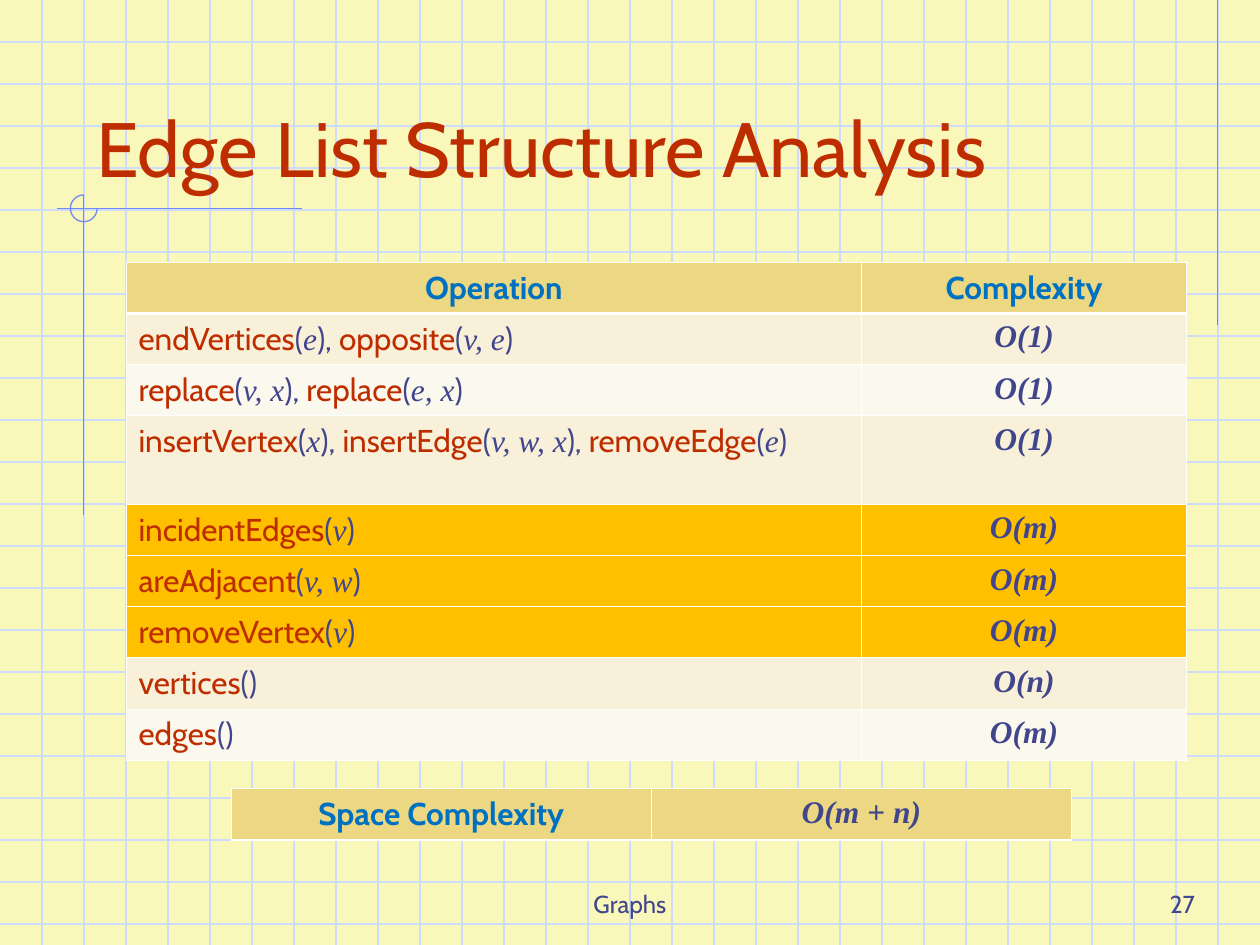
from lxml.etree import SubElement
from pptx import Presentation
from pptx.dml.color import RGBColor
from pptx.enum.shapes import MSO_CONNECTOR as CONN, MSO_SHAPE as SHAPE
from pptx.enum.text import MSO_ANCHOR as ANCHOR, MSO_AUTO_SIZE as AUTO, PP_ALIGN as ALIGN
from pptx.oxml.ns import qn
from pptx.util import Cm, Pt

SANS, SERIF = "Cabin", "Times New Roman"
PAPER, GRID, ACCENT, WHITE = "F9F8BA", "CFDBFD", "6F89F7", "FFFFFF"
RED, INK, BLUE = "BE2D00", "40458C", "0070C0"
HEAD, DARK, LIGHT, GOLD = "ECD882", "F8F0D8", "FBF8ED", "FFC000"
WIDTH, HEIGHT, ROW = 25.4, 19.05, 1.03

OPERATIONS = [
    ("endVertices(e), opposite(v, e)", "O(1)", DARK, ROW),
    ("replace(v, x), replace(e, x)", "O(1)", LIGHT, ROW),
    ("insertVertex(x), insertEdge(v, w, x), removeEdge(e)", "O(1)", DARK, 1.79),
    ("incidentEdges(v)", "O(m)", GOLD, ROW),
    ("areAdjacent(v, w)", "O(m)", GOLD, ROW),
    ("removeVertex(v)", "O(m)", GOLD, ROW),
    ("vertices()", "O(n)", DARK, ROW),
    ("edges()", "O(m)", LIGHT, ROW),
]


def rgb(color):
    """Turn a hex string into a colour."""
    return RGBColor.from_string(color)


def add_run(p, text, color, font=SANS, size=18, bold=False, italic=False):
    """Append one formatted run to a paragraph."""
    r = p.add_run()
    r.text = text
    f = r.font
    f.name, f.size, f.bold, f.italic = font, Pt(size), bold, italic
    f.color.rgb = rgb(color)


def add_line(slide, x1, y1, x2, y2, color):
    """Draw a thin straight line without shadow."""
    ln = slide.shapes.add_connector(CONN.STRAIGHT, Cm(x1), Cm(y1), Cm(x2), Cm(y2))
    ln.line.color.rgb = rgb(color)
    ln.line.width = Pt(0.75)
    SubElement(ln._element.spPr, qn("a:effectLst"))


def add_grid(slide, width, height):
    """Rule the page like squared paper."""
    step = width / 30
    for i in range(1, int(height / step) + 1):
        add_line(slide, 0, step * i, width, step * i, GRID)
    for i in range(1, 30):
        add_line(slide, step * i, 0, step * i, height, GRID)


def add_ornament(slide, x, y):
    """Draw the corner lines and the open circle centred on (x, y)."""
    radius = 0.27
    add_line(slide, WIDTH - 0.85, 0, WIDTH - 0.85, 6.55, ACCENT)
    add_line(slide, x - 0.55, y, x + 4.4, y, ACCENT)
    add_line(slide, x, y - radius, x, y + 6.18, ACCENT)
    sp = slide.shapes.add_shape(
        SHAPE.ARC, Cm(x - radius), Cm(y - radius), Cm(2 * radius), Cm(2 * radius))
    sp.adjustments[0], sp.adjustments[1] = 0, 162
    sp.shadow.inherit = False
    sp.fill.background()
    sp.line.color.rgb = rgb(ACCENT)
    sp.line.width = Pt(0.75)


def add_title(slide, text, x, y, w, h):
    """Place the title placeholder above the background lines."""
    sp = slide.shapes.title
    sp.left, sp.top, sp.width, sp.height = Cm(x), Cm(y), Cm(w), Cm(h)
    tf = sp.text_frame
    tf.auto_size, tf.vertical_anchor, tf.word_wrap = AUTO.NONE, ANCHOR.BOTTOM, True
    p = tf.paragraphs[0]
    p.alignment = ALIGN.LEFT
    add_run(p, text, RED, size=44)
    slide.shapes._spTree.append(sp._element)


def add_footer(slide, text, align, x, y, w, h):
    """Write one footer text at the bottom of its box."""
    tf = slide.shapes.add_textbox(Cm(x), Cm(y), Cm(w), Cm(h)).text_frame
    tf.word_wrap, tf.vertical_anchor = True, ANCHOR.BOTTOM
    p = tf.paragraphs[0]
    p.alignment = align
    add_run(p, text, INK, size=14)


def style_cell(cell, fill, top=0.45, bottom=0.45):
    """Give a cell white borders and a plain fill."""
    tcPr = cell._tc.get_or_add_tcPr()
    for tag, width in (("lnL", 0.45), ("lnR", 0.45), ("lnT", top), ("lnB", bottom)):
        ln = SubElement(tcPr, qn(f"a:{tag}"), w=str(Pt(width)))
        SubElement(SubElement(ln, qn("a:solidFill")), qn("a:srgbClr"), val=WHITE)
    cell.fill.solid()
    cell.fill.fore_color.rgb = rgb(fill)


def write_heading(cell, text):
    """Write a centred bold heading."""
    p = cell.text_frame.paragraphs[0]
    p.alignment = ALIGN.CENTER
    add_run(p, text, BLUE, bold=True)


def write_bound(cell, text):
    """Write a centred complexity bound."""
    p = cell.text_frame.paragraphs[0]
    p.alignment = ALIGN.CENTER
    add_run(p, text, INK, SERIF, bold=True, italic=True)


def write_calls(cell, text):
    """Write method calls with red names and italic arguments."""
    p = cell.text_frame.paragraphs[0]
    calls = text.rstrip(")").split("), ")
    for i, call in enumerate(calls):
        name, args = call.split("(")
        close = "), " if i < len(calls) - 1 else ")"
        add_run(p, name, RED)
        if args:
            add_run(p, "(", INK)
            add_run(p, args, INK, SERIF, italic=True)
            add_run(p, close, INK)
        else:
            add_run(p, "(" + close, INK)


def add_plain_table(slide, x, y, col_widths, row_heights):
    """Add a table with the given sizes and no banding."""
    tbl = slide.shapes.add_table(
        len(row_heights), len(col_widths), Cm(x), Cm(y),
        Cm(sum(col_widths)), Cm(sum(row_heights))).table
    tbl.first_row = tbl.horz_banding = False
    for col, w in zip(tbl.columns, col_widths):
        col.width = Cm(w)
    for row, h in zip(tbl.rows, row_heights):
        row.height = Cm(h)
    return tbl


def add_operations(slide, x, y, w):
    """Fill the table of operations and their complexity."""
    heights = [ROW] + [op[3] for op in OPERATIONS]
    tbl = add_plain_table(slide, x, y, [w - 6.55, 6.55], heights)
    for c, text in enumerate(("Operation", "Complexity")):
        write_heading(tbl.cell(0, c), text)
        style_cell(tbl.cell(0, c), HEAD, bottom=1.47)
    for i, (calls, bound, fill, _) in enumerate(OPERATIONS, 1):
        write_calls(tbl.cell(i, 0), calls)
        write_bound(tbl.cell(i, 1), bound)
        for c in range(2):
            style_cell(tbl.cell(i, c), fill, top=1.47 if i == 1 else 0.45)


def add_space(slide, x, y, w):
    """Fill the one-row table of space complexity."""
    tbl = add_plain_table(slide, x, y, [w / 2, w / 2], [ROW])
    write_heading(tbl.cell(0, 0), "Space Complexity")
    write_bound(tbl.cell(0, 1), "O(m + n)")
    for c in range(2):
        style_cell(tbl.cell(0, c), HEAD, bottom=1.47)


def main():
    """Build the slide and save it."""
    prs = Presentation()
    prs.slide_width, prs.slide_height = Cm(WIDTH), Cm(HEIGHT)
    slide = prs.slides.add_slide(prs.slide_layouts[5])
    bg = slide.background.fill
    bg.solid()
    bg.fore_color.rgb = rgb(PAPER)
    add_grid(slide, WIDTH, HEIGHT)
    add_ornament(slide, 1.69, 4.2)
    add_footer(slide, "Graphs", ALIGN.CENTER, 8.68, 17.36, 8.04, 1.27)
    add_footer(slide, "27", ALIGN.RIGHT, 19.05, 17.36, 5.29, 1.27)
    add_title(slide, "Edge List Structure Analysis", 1.69, 0.85, 23.07, 3.17)
    add_operations(slide, 2.54, 5.29, 21.38)
    add_space(slide, 4.66, 15.9, 16.94)
    prs.save("out.pptx")


if __name__ == "__main__":
    main()
